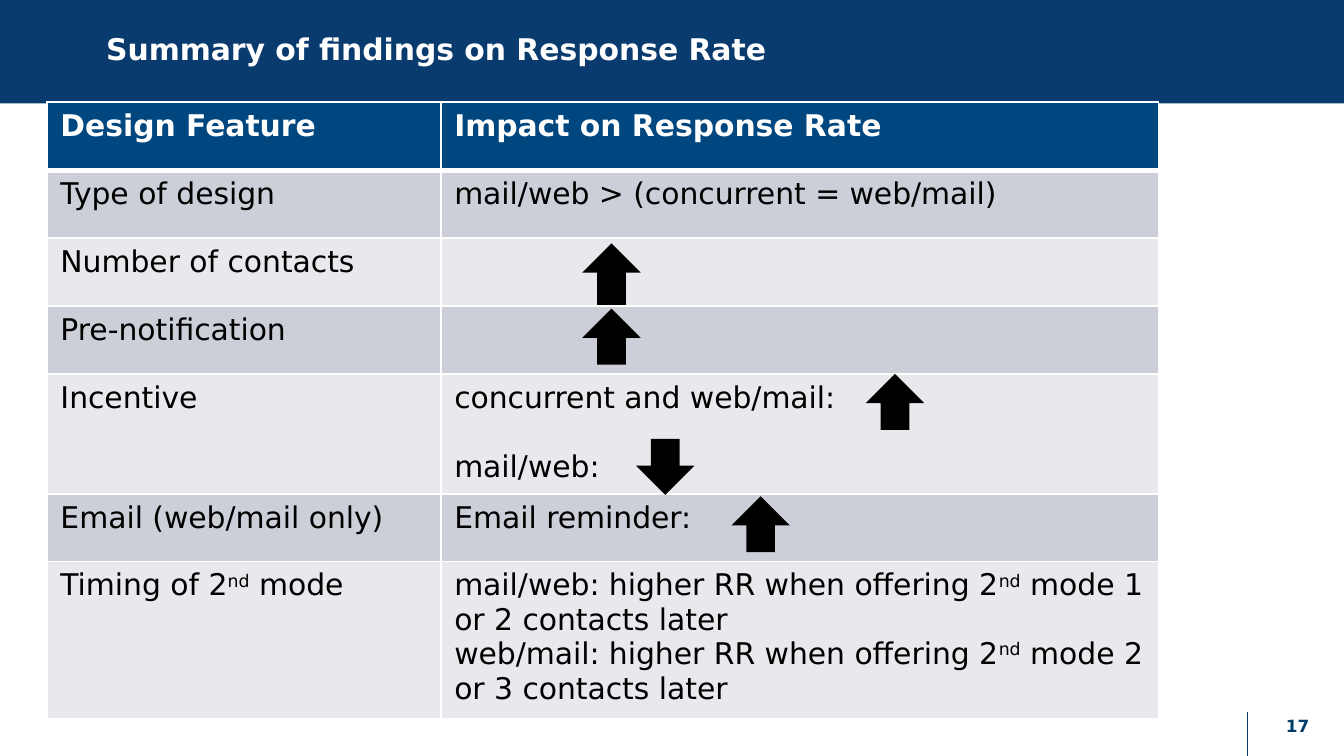
from dataclasses import dataclass

from lxml import etree
from pptx import Presentation
from pptx import util as u
from pptx.dml.color import RGBColor
from pptx.enum import shapes, text
from pptx.oxml import ns


@dataclass(frozen=True)
class Theme:
    font: str = "DejaVu Sans"
    body_size: int = 16
    number_size: int = 9
    band: str = "0A3B6F"
    header: str = "00467F"
    number: str = "003C68"
    stripes: tuple = ("E7E9EC", "CCCFD8")
    light: str = "FFFFFF"
    dark: str = "000000"


THEME = Theme()
SLIDE_W = 10
SLIDE_H = SLIDE_W * 9 / 16
BAND_H = 0.77
TABLE_LEFT, TABLE_TOP, TABLE_H = 0.35, 0.76, 4.6
COLUMN_WIDTHS = (2.93, 5.34)
ROW_H = 36.4 / 72
INCENTIVE_ROW, INCENTIVE_H = 4, 0.87
ARROW_W = 0.4

# Each cell is a list of paragraphs; text between ^ marks is superscript.
FINDINGS = (
    (["Design Feature"], ["Impact on Response Rate"]),
    (["Type of design"], ["mail/web > (concurrent = web/mail)"]),
    (["Number of contacts"], []),
    (["Pre-notification"], []),
    (["Incentive"], ["concurrent and web/mail:", "mail/web:"]),
    (["Email (web/mail only)"], ["Email reminder:"]),
    (["Timing of 2^nd^ mode"],
     ["mail/web: higher RR when offering 2^nd^ mode 1 or 2 contacts later",
      "web/mail: higher RR when offering 2^nd^ mode 2 or 3 contacts later"]),
)

# Table row, drop below the row's top, left, height, rotation
EFFECT_ARROWS = (
    (2, 0.05, 4.35, 0.44, 0),
    (3, 0.03, 4.35, 0.4, 0),
    (4, 0.01, 6.46, 0.4, 0),
    (4, 0.49, 4.75, 0.4, 180),
    (5, 0.05, 5.46, 0.4, 0),
)


def inches(*lengths):
    return [u.Inches(length) for length in lengths]


def rgb(color):
    return RGBColor.from_string(color)


def set_font(paragraph, color, size=THEME.body_size, bold=False):
    font = paragraph.font
    font.name, font.size, font.bold = THEME.font, u.Pt(size), bold
    font.color.rgb = rgb(color)


def add_preset(slide, preset, box, color):
    shape = slide.shapes.add_shape(preset, *inches(*box))
    shape.shadow.inherit = False
    shape.fill.solid()
    shape.fill.fore_color.rgb = rgb(color)
    shape.line.fill.background()
    return shape


def add_title(slide, wording):
    title = slide.shapes.title
    title.left, title.top, title.width, title.height = inches(0.69, 0, 8.15, 0.76)
    frame = title.text_frame
    frame.text = wording
    frame.word_wrap = True
    frame.auto_size = text.MSO_AUTO_SIZE.NONE
    frame.vertical_anchor = text.MSO_ANCHOR.MIDDLE
    heading = frame.paragraphs[0]
    heading.alignment = text.PP_ALIGN.LEFT
    heading.line_spacing = 0.9
    set_font(heading, THEME.light, bold=True)
    band = add_preset(slide, shapes.MSO_SHAPE.RECTANGLE,
                      (0, 0, SLIDE_W, BAND_H), THEME.band)
    title.element.addprevious(band.element)


def add_page_number(slide, number):
    rule = slide.shapes.add_connector(
        shapes.MSO_CONNECTOR.STRAIGHT, *inches(9.28, 5.3, 9.28, 5.67))
    rule.line.color.rgb = rgb(THEME.band)
    rule.line.width = u.Pt(0.75)
    etree.SubElement(rule.element.spPr, ns.qn("a:effectLst"))

    frame = slide.shapes.add_textbox(*inches(9.31, 5.25, 0.69, 0.3)).text_frame
    frame.word_wrap = True
    frame.vertical_anchor = text.MSO_ANCHOR.MIDDLE
    label = frame.paragraphs[0]
    label.text = number
    label.alignment = text.PP_ALIGN.CENTER
    set_font(label, THEME.number, THEME.number_size, bold=True)


def set_borders(cell, widths):
    """Draw light borders; widths maps a side (L, R, T, B) to points."""
    properties = cell._tc.get_or_add_tcPr()
    for side in "LRTB":
        border = etree.SubElement(properties, ns.qn(f"a:ln{side}"),
                                  w=str(u.Pt(widths[side])))
        fill = etree.SubElement(border, ns.qn("a:solidFill"))
        etree.SubElement(fill, ns.qn("a:srgbClr"), val=THEME.light)


def write_paragraph(paragraph, wording, color, bold):
    set_font(paragraph, color, bold=bold)
    for part, words in enumerate(wording.split("^")):
        run = paragraph.add_run()
        run.text = words
        if part % 2:
            run._r.get_or_add_rPr().set("baseline", "30000")


def fill_cell(cell, wordings, row):
    is_header = row == 0
    set_borders(cell, {"L": 1, "R": 1, "T": 3 if row == 1 else 1,
                       "B": 3 if is_header else 1})
    cell.fill.solid()
    cell.fill.fore_color.rgb = rgb(
        THEME.header if is_header else THEME.stripes[row % 2])
    color = THEME.light if is_header else THEME.dark
    frame = cell.text_frame
    set_font(frame.paragraphs[0], color, bold=is_header)
    for index, wording in enumerate(wordings):
        paragraph = frame.add_paragraph() if index else frame.paragraphs[0]
        write_paragraph(paragraph, wording, color, is_header)
        if index and row == INCENTIVE_ROW:
            paragraph.space_before = u.Pt(18.6)


def add_findings_table(slide):
    """Add the table; rows with several lines grow to fit their text."""
    box = (TABLE_LEFT, TABLE_TOP, sum(COLUMN_WIDTHS), TABLE_H)
    holder = slide.shapes.add_table(
        len(FINDINGS), len(COLUMN_WIDTHS), *inches(*box))
    table = holder.table
    for column, width in zip(table.columns, COLUMN_WIDTHS):
        column.width = u.Inches(width)
    for row, features in enumerate(FINDINGS):
        table.rows[row].height = u.Inches(ROW_H)
        for column, wordings in enumerate(features):
            fill_cell(table.cell(row, column), wordings, row)
    holder.height = u.Inches(TABLE_H)


def add_effect_arrow(slide, row, drop, left, height, rotation):
    top = TABLE_TOP + row * ROW_H + drop
    if row > INCENTIVE_ROW:
        top += INCENTIVE_H - ROW_H
    arrow = add_preset(slide, shapes.MSO_SHAPE.UP_ARROW,
                       (left, top, ARROW_W, height), THEME.dark)
    arrow.rotation = rotation
    arrow.line.color.rgb = rgb(THEME.dark)
    arrow.line.width = u.Pt(1)
    outline = arrow.element.spPr.find(ns.qn("a:ln"))
    etree.SubElement(outline, ns.qn("a:miter"), lim="800000")


def main():
    deck = Presentation()
    deck.slide_width, deck.slide_height = inches(SLIDE_W, SLIDE_H)
    slide = deck.slides.add_slide(deck.slide_layouts.get_by_name("Title Only"))
    add_title(slide, "Summary of findings on Response Rate")
    add_page_number(slide, "17")
    add_findings_table(slide)
    for arrow in EFFECT_ARROWS:
        add_effect_arrow(slide, *arrow)
    deck.save("out.pptx")


if __name__ == "__main__":
    main()
